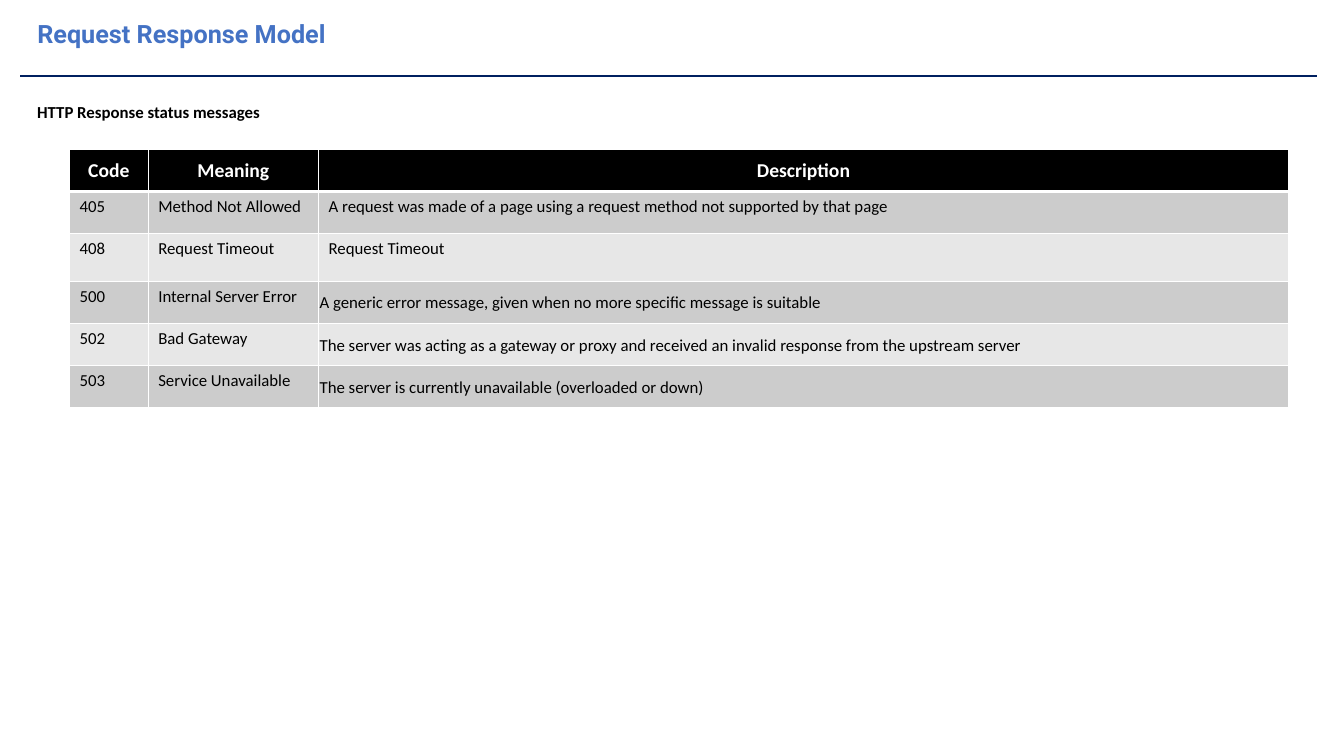
"""Build the slide that lists HTTP response status messages in a table."""
from dataclasses import dataclass

from lxml import etree
from pptx import Presentation
from pptx.dml.color import RGBColor
from pptx.enum.shapes import MSO_CONNECTOR
from pptx.enum.text import MSO_ANCHOR, MSO_AUTO_SIZE, PP_ALIGN
from pptx.oxml.ns import qn
from pptx.util import Inches, Pt

STRAIGHT = MSO_CONNECTOR.STRAIGHT
TOP, MIDDLE = MSO_ANCHOR.TOP, MSO_ANCHOR.MIDDLE
LEFT, CENTER = PP_ALIGN.LEFT, PP_ALIGN.CENTER
NO_AUTOFIT = MSO_AUTO_SIZE.NONE

TITLE_ONLY = 5
BLACK, WHITE = "000000", "FFFFFF"
BLUE, NAVY = "4472C4", "002060"
BANDS = ("CCCCCC", "E7E7E7")
COLUMN_WIDTHS = (0.78, 1.69, 9.62)
ROW_HEIGHTS = (0.42, 0.42, 0.47, 0.42, 0.42, 0.42)
HEADINGS = ("Code", "Meaning", "Description")
CELL_INSETS = (0.1, 0.05)
CODE_INSETS = (0.07, 0)
TIGHT_INSETS = (0.01, 0.01)


@dataclass
class Status:
    code: str
    meaning: str
    description: str
    tight: bool = False


STATUSES = (
    Status("405", "Method Not Allowed",
           "A request was made of a page using a request method not supported by that page"),
    Status("408", "Request Timeout", "Request Timeout"),
    Status("500", "Internal Server Error",
           "A generic error message, given when no more specific message is suitable", True),
    Status("502", "Bad Gateway",
           "The server was acting as a gateway or proxy and received an invalid response "
           "from the upstream server", True),
    Status("503", "Service Unavailable",
           "The server is currently unavailable (overloaded or down)", True),
)


def color(value: str) -> RGBColor:
    return RGBColor.from_string(value)


def write(frame, text: str, *, size: float = 12, font: str = "Calibri", ink: str = BLACK,
          bold: bool = False, align=LEFT, spacing: float = 1.0) -> None:
    para = frame.paragraphs[0]
    para.alignment = align
    para.line_spacing = spacing
    span = para.add_run()
    span.text = text
    span.font.size = Pt(size)
    span.font.name = font
    span.font.bold = bold
    span.font.color.rgb = color(ink)


def place_text(box, left: float, top: float, width: float, height: float,
               text: str, **style) -> None:
    box.left, box.top = Inches(left), Inches(top)
    box.width, box.height = Inches(width), Inches(height)
    frame = box.text_frame
    frame.word_wrap = True
    frame.auto_size = NO_AUTOFIT
    frame.vertical_anchor = TOP
    write(frame, text, **style)


def add_rule(page, left: float, right: float, top: float) -> None:
    rule = page.shapes.add_connector(
        STRAIGHT, Inches(left), Inches(top), Inches(right), Inches(top))
    rule.line.color.rgb = color(NAVY)
    rule.line.width = Pt(1.5)
    etree.SubElement(rule.element.spPr, qn("a:effectLst"))


def add_borders(cell, bottom: float, top: float) -> None:
    properties = cell._tc.get_or_add_tcPr()
    for side, width in (("L", 1), ("R", 1), ("T", top), ("B", bottom)):
        border = etree.SubElement(properties, qn(f"a:ln{side}"), w=str(Pt(width)))
        fill = etree.SubElement(border, qn("a:solidFill"))
        etree.SubElement(fill, qn("a:srgbClr"), val=WHITE)


def fill_cell(cell, text: str, background: str, *, insets: tuple[float, float] = CELL_INSETS,
              anchor=TOP, bottom: float = 1, top: float = 1, **style) -> None:
    add_borders(cell, bottom, top)
    cell.fill.solid()
    cell.fill.fore_color.rgb = color(background)
    cell.vertical_anchor = anchor
    cell.margin_left = cell.margin_right = Inches(insets[0])
    cell.margin_top = cell.margin_bottom = Inches(insets[1])
    write(cell.text_frame, text, **style)


def add_status_table(page, left: float, top: float) -> None:
    table = page.shapes.add_table(
        len(ROW_HEIGHTS), len(COLUMN_WIDTHS), Inches(left), Inches(top),
        Inches(sum(COLUMN_WIDTHS)), Inches(sum(ROW_HEIGHTS))).table
    for column, width in zip(table.columns, COLUMN_WIDTHS):
        column.width = Inches(width)
    for row, height in zip(table.rows, ROW_HEIGHTS):
        row.height = Inches(height)

    for index, heading in enumerate(HEADINGS):
        is_code = index == 0
        fill_cell(table.cell(0, index), heading, BLACK, anchor=MIDDLE, bottom=3,
                  insets=CODE_INSETS if is_code else CELL_INSETS,
                  spacing=1.07 if is_code else 1.0,
                  size=14, ink=WHITE, bold=True, align=CENTER)

    for index, status in enumerate(STATUSES, start=1):
        band = BANDS[(index - 1) % len(BANDS)]
        top_border = 3 if index == 1 else 1
        fill_cell(table.cell(index, 0), status.code, band, top=top_border)
        fill_cell(table.cell(index, 1), status.meaning, band, top=top_border)
        fill_cell(table.cell(index, 2), status.description, band, top=top_border,
                  insets=TIGHT_INSETS if status.tight else CELL_INSETS,
                  anchor=MIDDLE if status.tight else TOP,
                  spacing=1.07 if status.tight else 1.0)


def main() -> None:
    deck = Presentation()
    deck.slide_width, deck.slide_height = Inches(13.33), Inches(7.5)
    page = deck.slides.add_slide(deck.slide_layouts[TITLE_ONLY])
    place_text(page.shapes.title, 0.27, 0.13, 6.47, 0.4, "Request Response Model",
               size=18, font="Roboto", ink=BLUE, bold=True)
    add_rule(page, 0.2, 13.06, 0.75)
    subtitle = page.shapes.add_textbox(0, 0, 0, 0)
    place_text(subtitle, 0.27, 0.96, 12.49, 0.3, "HTTP Response status messages", bold=True)
    add_status_table(page, 0.69, 1.48)
    deck.save("out.pptx")


if __name__ == "__main__":
    main()
